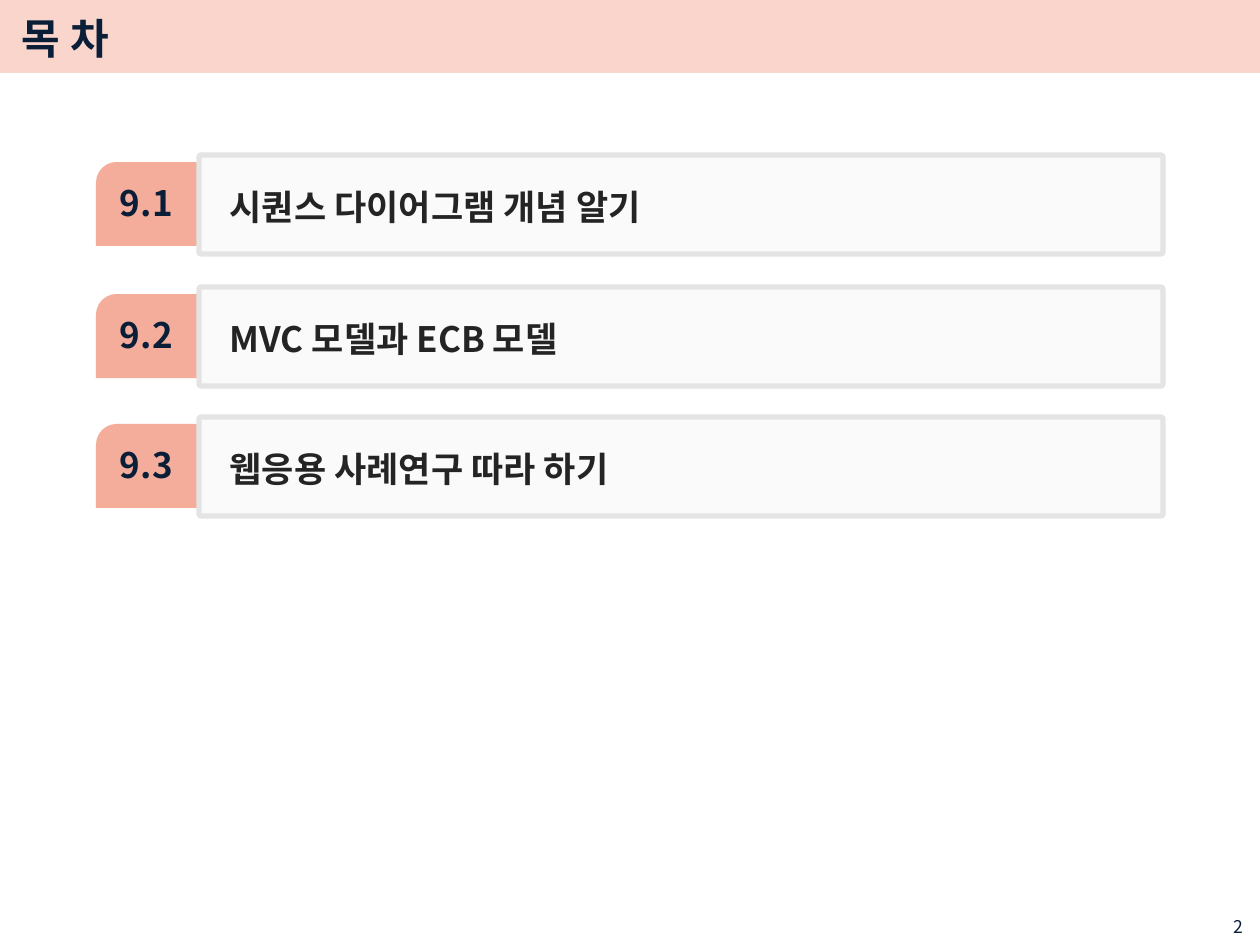
from dataclasses import dataclass

from pptx import Presentation
from pptx.dml.color import RGBColor
from pptx.enum.shapes import MSO_SHAPE
from pptx.enum.text import MSO_ANCHOR, PP_ALIGN
from pptx.oxml.ns import qn
from pptx.util import Emu, Pt
from lxml.etree import SubElement

FONT = "Noto Sans CJK KR"
NAVY, DARK = "0A1E38", "242424"
CORAL, GRAY, EDGE = "EE7759", "F2F2F2", "E4E4E4"


@dataclass
class Box:
    left: int
    top: int
    width: int
    height: int


@dataclass
class Topic:
    top: int
    num: str
    name: str


TOPICS = [
    Topic(155, "9.1", "시퀀스 다이어그램 개념 알기"),
    Topic(287, "9.2", "MVC 모델과 ECB 모델"),
    Topic(417, "9.3", "웹응용 사례연구 따라 하기"),
]


def px(n: int) -> Emu:
    return Emu(round(n * 914400 / 126))


def place(box: Box) -> list[Emu]:
    return [px(n) for n in (box.left, box.top, box.width, box.height)]


def rgb(code: str) -> RGBColor:
    return RGBColor.from_string(code)


def put_text(shape, text: str, *, size: int, color: str = NAVY, bold: bool = True,
             align=PP_ALIGN.LEFT, anchor=MSO_ANCHOR.MIDDLE, pads=(13, 6, 13, 6),
             margin: int = 0, indent: int = 0, spacing: float = 1.0) -> None:
    frame = shape.text_frame
    frame.word_wrap = True
    frame.vertical_anchor = anchor
    (frame.margin_left, frame.margin_top,
     frame.margin_right, frame.margin_bottom) = [px(n) for n in pads]
    para = frame.paragraphs[0]
    para.alignment = align
    para.line_spacing = spacing
    props = para._p.get_or_add_pPr()
    props.set("marL", str(px(margin)))
    props.set("indent", str(px(indent)))
    run = para.add_run()
    run.text = text
    font = run.font
    font.name, font.size, font.bold = FONT, Pt(size), bold
    font.color.rgb = rgb(color)
    # East Asian letters need their own typeface entry
    SubElement(run._r.get_or_add_rPr(), qn("a:ea"), typeface=FONT)


def add_panel(slide, kind, box: Box, fill: str, alpha: int,
              line: str = "", adj: tuple = ()):
    shape = slide.shapes.add_shape(kind, *place(box))
    shape.shadow.inherit = False
    for i, value in enumerate(adj):
        shape.adjustments[i] = value
    shape.fill.solid()
    shape.fill.fore_color.rgb = rgb(fill)
    tint = shape._element.spPr.find(qn("a:solidFill"))[0]
    SubElement(tint, qn("a:alpha"), val=str(alpha * 1000))
    if line:
        shape.line.color.rgb = rgb(line)
        shape.line.width = Pt(3)
    else:
        shape.line.fill.background()
    return shape


def add_topic(slide, topic: Topic) -> None:
    # Number tab
    tab = add_panel(slide, MSO_SHAPE.SNIP_ROUND_RECTANGLE,
                    Box(96, topic.top + 7, 104, 84), CORAL, 60, adj=(0.245, 0))
    put_text(tab, topic.num, size=20, pads=(13, 0, 13, 10), margin=5)
    # Topic bar
    bar = add_panel(slide, MSO_SHAPE.ROUNDED_RECTANGLE,
                    Box(199, topic.top, 964, 99), GRAY, 33, EDGE, (0.023,))
    put_text(bar, topic.name, size=20, color=DARK, margin=16, indent=1, spacing=1.1)


def main() -> None:
    deck = Presentation()
    deck.slide_width, deck.slide_height = px(1260), px(945)
    slide = deck.slides.add_slide(deck.slide_layouts[6])

    # Title band
    add_panel(slide, MSO_SHAPE.RECTANGLE, Box(0, -3, 1260, 76), CORAL, 30)
    title = slide.shapes.add_textbox(*place(Box(9, 5, 1072, 66)))
    put_text(title, "목 차", size=24)

    # Contents
    for topic in TOPICS:
        add_topic(slide, topic)

    # Page number
    page = slide.shapes.add_textbox(*place(Box(1140, 910, 116, 29)))
    put_text(page, "2", size=10, bold=False, align=PP_ALIGN.RIGHT, anchor=MSO_ANCHOR.TOP)

    deck.save("out.pptx")


if __name__ == "__main__":
    main()
